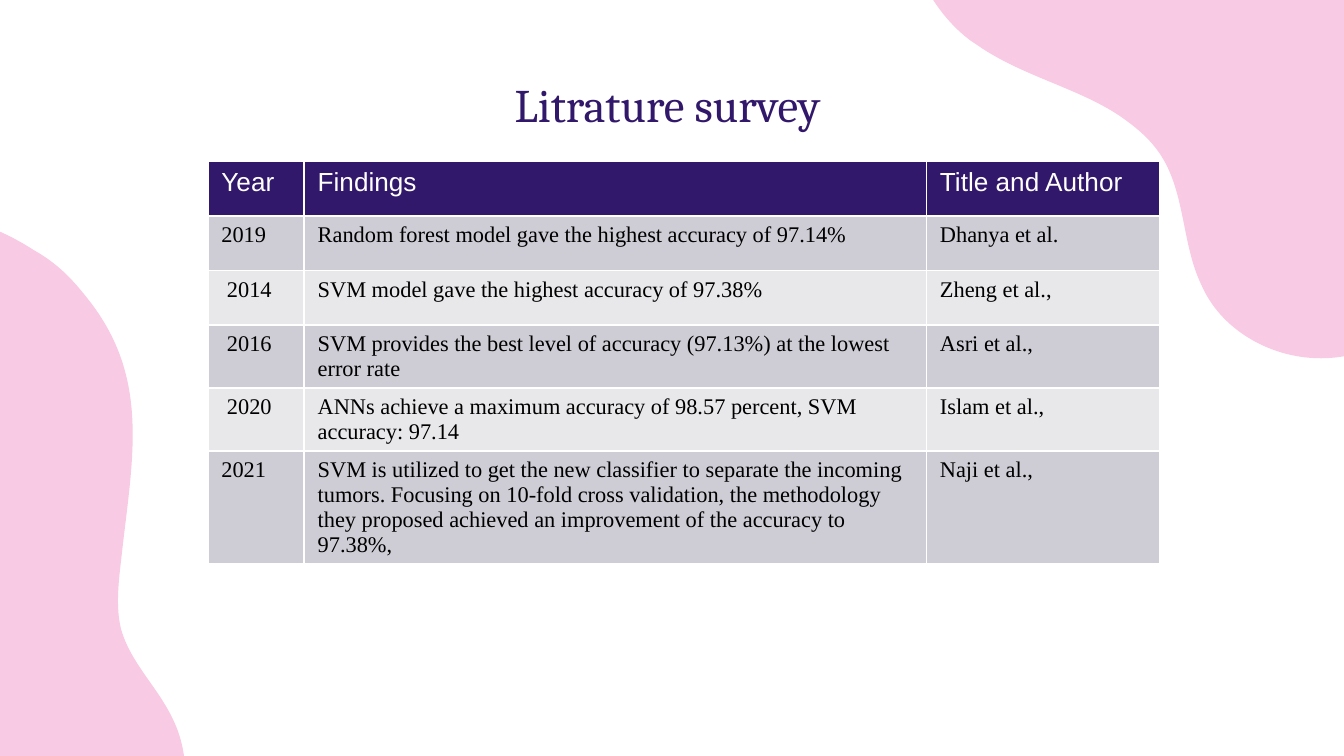
from math import cos, radians, sin

from lxml.etree import SubElement
from pptx import Presentation
from pptx.dml.color import RGBColor
from pptx.enum.text import MSO_ANCHOR, PP_ALIGN
from pptx.oxml.ns import qn
from pptx.util import Cm, Pt

PINK = RGBColor(0xF9, 0xCA, 0xE3)
INDIGO = RGBColor(0x32, 0x18, 0x6B)
WHITE = RGBColor(0xFF, 0xFF, 0xFF)
BLACK = RGBColor(0x00, 0x00, 0x00)
BANDS = [RGBColor(0xCE, 0xCC, 0xD4), RGBColor(0xE8, 0xE8, 0xEB)]

# Turned blob outline in hundredths of an inch: a start point, then cubic curves
BLOB_START = (972, -234)
BLOB_CURVES = [
    (932, -260, 883, -270, 835, -262),
    (772, -251, 711, -207, 685, -146),
    (659, -85, 672, -8, 722, 30),
    (725, 32, 728, 34, 731, 36),
    (763, 57, 803, 66, 833, 86),
    (846, 95, 858, 105, 866, 119),
    (882, 147, 880, 183, 894, 212),
    (901, 228, 913, 241, 927, 250),
    (956, 269, 996, 273, 1029, 255),
    (1077, 229, 1099, 161, 1075, 114),
    (1064, 91, 1044, 73, 1037, 48),
    (1033, 32, 1035, 14, 1037, -3),
    (1045, -77, 1060, -138, 1012, -198),
    (1001, -212, 990, -224, 972, -234),
]
BLOB_CENTER = (911.5, -17)
BLOB_SIZE = (13.84, 10.92)
BLOB_TURN = 33
BLOB_CORNERS = [(16.23, -5.89), (-7.82, 4.78)]

ROWS = [
    ("Year", "Findings", "Title and Author"),
    ("2019", "Random forest model gave the highest accuracy of 97.14%", "Dhanya et al."),
    (" 2014", "SVM model gave the highest accuracy of 97.38%", "Zheng et al.,"),
    (" 2016", "SVM provides the best level of accuracy (97.13%) at the lowest error rate",
     "Asri et al.,"),
    (" 2020", "ANNs achieve a maximum accuracy of 98.57 percent, SVM accuracy: 97.14",
     "Islam et al.,"),
    ("2021", "SVM is utilized to get the new classifier to separate the incoming tumors. "
     "Focusing on 10-fold cross validation, the methodology they proposed achieved an "
     "improvement of the accuracy to 97.38%,", "Naji et al.,"),
]
COLUMN_WIDTHS = [1.82, 11.76, 4.4]
ROW_HEIGHT = 1.03


def unturn(x, y):
    """Turn an outline point back and measure it from the blob's corner, in EMU."""
    dx, dy = x - BLOB_CENTER[0], y - BLOB_CENTER[1]
    c, s = cos(radians(BLOB_TURN)), sin(radians(BLOB_TURN))
    return (Cm((dx * c + dy * s) * 0.0254 + BLOB_SIZE[0] / 2),
            Cm((dy * c - dx * s) * 0.0254 + BLOB_SIZE[1] / 2))


class SlideBuilder:
    title_font = "Cambria"
    header_font = "Arial"
    body_font = "Times New Roman"

    def __init__(self, prs):
        self.s = prs.slides.add_slide(prs.slide_layouts[5])

    def set_font(self, p, name, size, color):
        p.font.name = name
        p.font.size = Pt(size)
        p.font.bold = False
        p.font.color.rgb = color

    def add_blob(self, left, top):
        """Add a freeform, then bend its straight segments into cubic curves."""
        width, height = map(Cm, BLOB_SIZE)
        builder = self.s.shapes.build_freeform(*unturn(*BLOB_START), scale=1.0)
        builder.add_line_segments([unturn(*curve[4:]) for curve in BLOB_CURVES])
        sp = builder.convert_to_shape()
        sp.left, sp.top, sp.width, sp.height = Cm(left), Cm(top), width, height
        sp.rotation = BLOB_TURN

        outline = next(sp._element.iter(qn("a:path")))
        outline.set("w", str(width))
        outline.set("h", str(height))
        for child in list(outline):
            outline.remove(child)
        commands = [("a:moveTo", BLOB_START)] + [("a:cubicBezTo", c) for c in BLOB_CURVES]
        for tag, values in commands:
            command = SubElement(outline, qn(tag))
            for point in zip(values[::2], values[1::2]):
                x, y = unturn(*point)
                SubElement(command, qn("a:pt"), x=str(x), y=str(y))
        SubElement(outline, qn("a:close"))

        sp.shadow.inherit = False
        sp.fill.solid()
        sp.fill.fore_color.rgb = PINK
        sp.line.fill.background()

    def add_title(self, text, left, top, width, height):
        sp = self.s.shapes.title
        sp.left, sp.top, sp.width, sp.height = map(Cm, (left, top, width, height))
        tf = sp.text_frame
        tf.margin_left = tf.margin_right = tf.margin_top = tf.margin_bottom = Cm(0.25)
        tf.vertical_anchor = MSO_ANCHOR.TOP
        tf.text = text
        p = tf.paragraphs[0]
        p.alignment = PP_ALIGN.CENTER
        self.set_font(p, self.title_font, 25, INDIGO)

    def add_table(self, rows, left, top):
        table = self.s.shapes.add_table(
            len(rows), len(COLUMN_WIDTHS), Cm(left), Cm(top),
            Cm(sum(COLUMN_WIDTHS)), Cm(ROW_HEIGHT * len(rows))).table
        for column, width in zip(table.columns, COLUMN_WIDTHS):
            column.width = Cm(width)
        for i, values in enumerate(rows):
            table.rows[i].height = Cm(ROW_HEIGHT)
            for j, value in enumerate(values):
                cell = table.cell(i, j)
                cell.fill.solid()
                cell.fill.fore_color.rgb = BANDS[(i - 1) % 2] if i else INDIGO
                cell.text = value
                style = (self.body_font, 12, BLACK) if i else (self.header_font, 14, WHITE)
                self.set_font(cell.text_frame.paragraphs[0], *style)


def main():
    prs = Presentation()
    prs.slide_width, prs.slide_height = Cm(25.4), Cm(14.29)
    slide = SlideBuilder(prs)
    for corner in BLOB_CORNERS:
        slide.add_blob(*corner)
    slide.add_title("Litrature survey ", 3.35, 1.19, 18.72, 1.6)
    slide.add_table(ROWS, 3.93, 3.05)
    prs.save("out.pptx")


if __name__ == "__main__":
    main()
